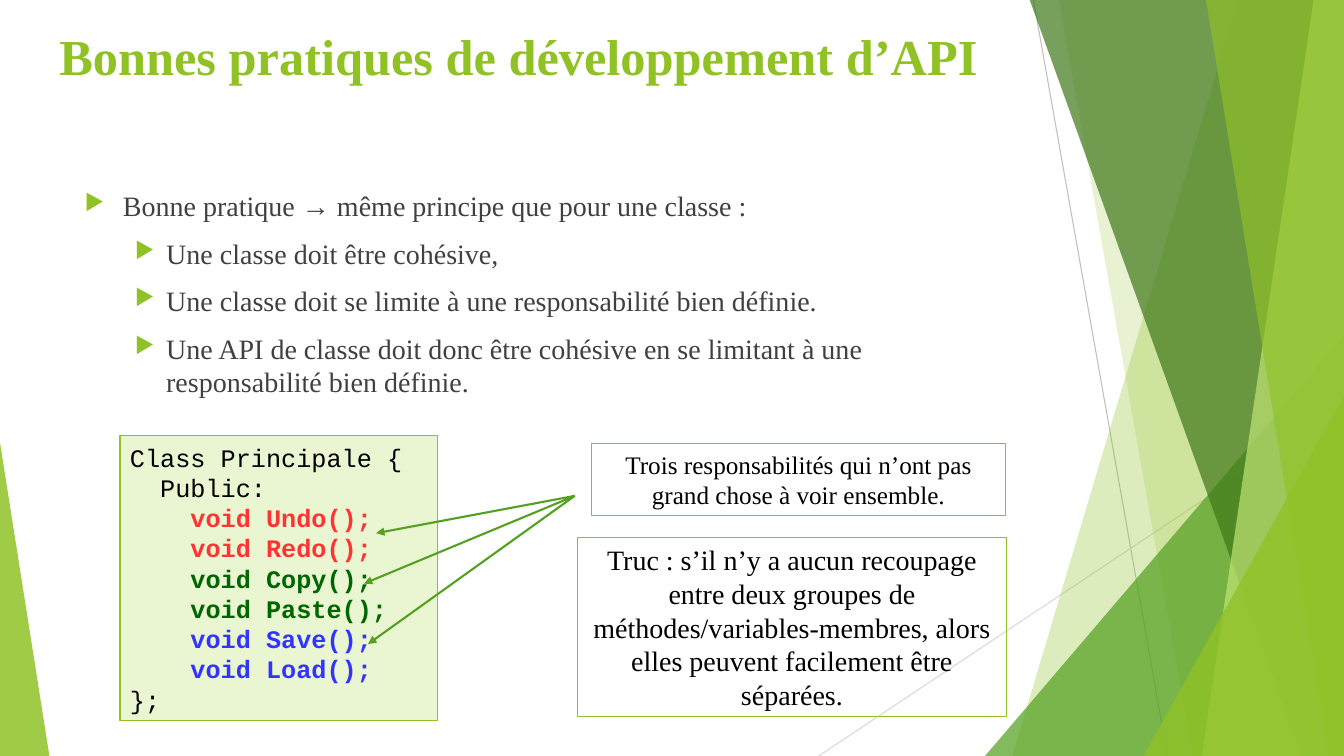
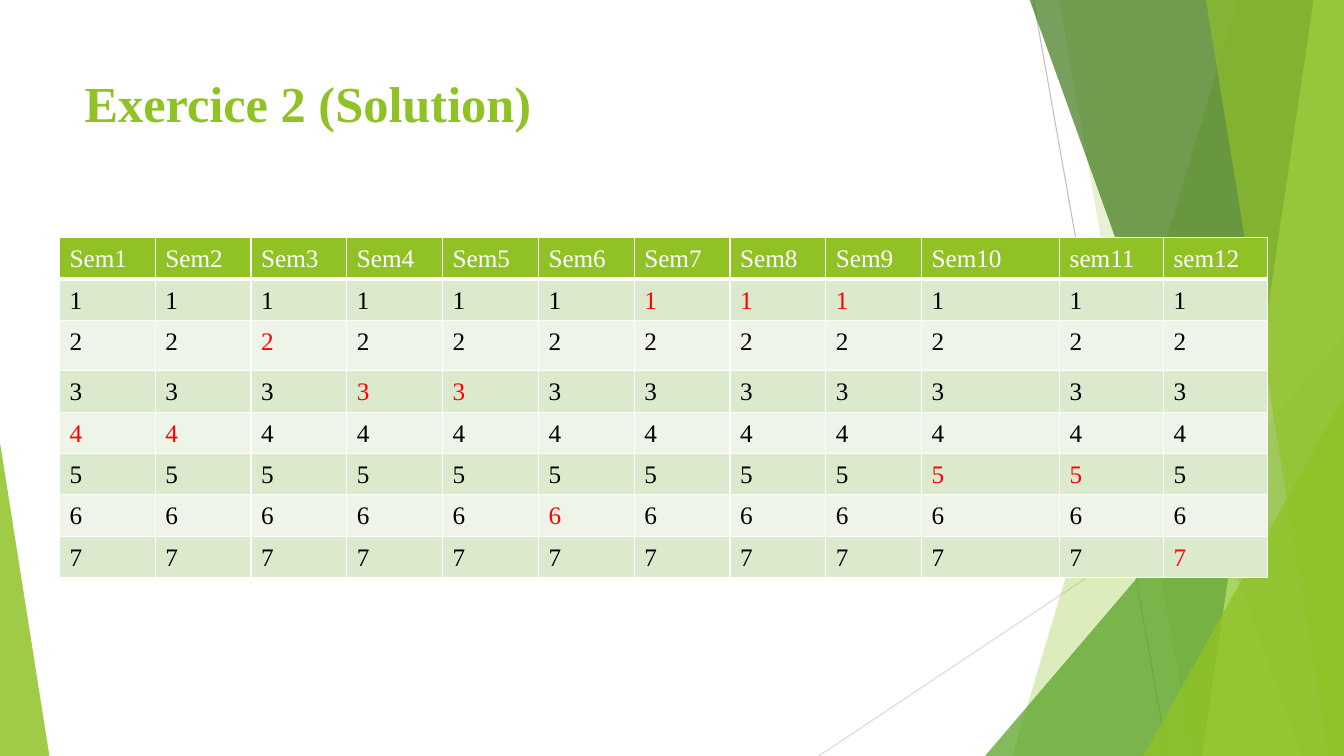
"""Build two slides on API design practices and a weekly schedule."""
from lxml.etree import SubElement
from pptx import Presentation
from pptx.dml.color import RGBColor
from pptx.enum.shapes import MSO_CONNECTOR, MSO_SHAPE
from pptx.enum.text import MSO_ANCHOR, PP_ALIGN
from pptx.oxml.ns import qn
from pptx.util import Inches, Pt

COLORS = {
    "lime": "90C226", "green": "54A021", "forest": "3F7819", "pale": "C0E474",
    "code_fill": "EAF6D1", "band_dark": "DBE9CD", "band_light": "EEF4E8",
    "line": "BFBFBF", "line_light": "D9D9D9", "text": "404040",
    "black": "000000", "white": "FFFFFF", "red": "FF0000",
    "code_red": "FF3333", "code_green": "006600", "code_blue": "3333FF",
}
SERIF, MONO = "Times New Roman", "Courier New"
TOP, RIGHT, BOTTOM = -0.01, 13.33, 7.5


def rgb(name):
    return RGBColor.from_string(COLORS[name])


class Deck:
    def __init__(self):
        self.prs = Presentation()
        self.prs.slide_width, self.prs.slide_height = Inches(RIGHT), Inches(BOTTOM)
        self.s = None

    def new_slide(self):
        self.s = self.prs.slides.add_slide(self.prs.slide_layouts[6])
        self.line((10.25, 0), (11.58, BOTTOM), "line")
        self.line((RIGHT, 4.03), (8.12, BOTTOM), "line_light")
        self.band(12.28, 10.04, "lime", 30)
        self.band(10.5, 11.83, "lime", 20)
        self.triangle(9.77, 3.33, 3.56, 1, "green", 72)
        self.band(10.21, 12.91, "forest", 70)
        self.band(13.03, 11.92, "pale", 70)
        self.band(11.96, 13.18, "lime", 65)
        self.triangle(11.34, 3.93, 1.99, 1, "lime", 80)
        self.triangle(0, 4.39, 0.49, 0, "lime", 85)

    def paint(self, sp, color, opacity):
        sp.shadow.inherit = False
        sp.line.fill.background()
        sp.fill.solid()
        sp.fill.fore_color.rgb = rgb(color)
        clr = next(sp._element.spPr.iter(qn("a:srgbClr")))
        SubElement(clr, qn("a:alpha"), val=str(opacity * 1000))

    def band(self, top_x, bottom_x, color, opacity):
        fb = self.s.shapes.build_freeform(Inches(top_x), Inches(TOP))
        corners = [(RIGHT, TOP), (RIGHT, BOTTOM), (bottom_x, BOTTOM)]
        fb.add_line_segments([(Inches(x), Inches(y)) for x, y in corners])
        self.paint(fb.convert_to_shape(), color, opacity)

    def triangle(self, x, y, w, apex, color, opacity):
        sp = self.s.shapes.add_shape(MSO_SHAPE.ISOSCELES_TRIANGLE, Inches(x),
                                     Inches(y), Inches(w), Inches(BOTTOM - y))
        sp.adjustments[0] = apex
        self.paint(sp, color, opacity)

    def line(self, start, end, color, width=0.75, arrow=False):
        c = self.s.shapes.add_connector(MSO_CONNECTOR.STRAIGHT,
                                        *[Inches(v) for v in (*start, *end)])
        c.line.color.rgb = rgb(color)
        c.line.width = Pt(width)
        if arrow:
            SubElement(c.line._get_or_add_ln(), qn("a:tailEnd"), type="triangle")
        SubElement(c._element.spPr, qn("a:effectLst"))

    def run(self, p, text, size, color, font=SERIF, bold=False):
        r = p.add_run()
        r.text = text
        r.font.name, r.font.size, r.font.bold = font, Pt(size), bold
        r.font.color.rgb = rgb(color)
        p.line_spacing = Pt(size * 1.2)

    def textbox(self, x, y, w, h):
        tf = self.s.shapes.add_textbox(Inches(x), Inches(y), Inches(w), Inches(h)).text_frame
        tf.word_wrap = True
        return tf

    def title(self, text, x, y, w):
        tf = self.textbox(x, y, w, 1.44)
        self.run(tf.paragraphs[0], text, 36, "lime", bold=True)

    def bullets(self, items, x, y, w, h):
        tf = self.textbox(x, y, w, h)
        for i, (level, text) in enumerate(items):
            p = tf.add_paragraph() if i else tf.paragraphs[0]
            p.level = level
            margin, hang = [(0.38, 0.38), (0.81, 0.31)][level]
            pPr = p._p.get_or_add_pPr()
            pPr.set("marL", str(Inches(margin)))
            pPr.set("indent", str(-Inches(hang)))
            clr = SubElement(pPr, qn("a:buClr"))
            SubElement(clr, qn("a:srgbClr"), val=COLORS["lime"])
            SubElement(pPr, qn("a:buSzPct"), val="80000")
            SubElement(pPr, qn("a:buChar"), char="▶")
            if i:
                p.space_before = Pt(10)
            self.run(p, text, 20, "text")

    def box(self, paragraphs, x, y, w, h, size, font=SERIF, fill=None, align=PP_ALIGN.CENTER):
        sp = self.s.shapes.add_shape(MSO_SHAPE.RECTANGLE, Inches(x), Inches(y),
                                     Inches(w), Inches(h))
        sp.shadow.inherit = False
        sp.line.color.rgb = rgb("lime")
        sp.line.width = Pt(0.75)
        if fill:
            sp.fill.solid()
            sp.fill.fore_color.rgb = rgb(fill)
        else:
            sp.fill.background()
        tf = sp.text_frame
        tf.word_wrap = True
        tf.vertical_anchor = MSO_ANCHOR.MIDDLE
        for i, runs in enumerate(paragraphs):
            p = tf.add_paragraph() if i else tf.paragraphs[0]
            p.alignment = align
            for text, color in runs:
                self.run(p, text, size, color, font, bold=color != "black")

    def cell(self, cell, text, color, fill, bottom=1):
        tcPr = cell._tc.get_or_add_tcPr()
        for side, width in (("L", 1), ("R", 1), ("T", 1), ("B", bottom)):
            ln = SubElement(tcPr, qn("a:ln" + side), w=str(Pt(width)))
            solid = SubElement(ln, qn("a:solidFill"))
            SubElement(solid, qn("a:srgbClr"), val=COLORS["white"])
        cell.fill.solid()
        cell.fill.fore_color.rgb = rgb(fill)
        self.run(cell.text_frame.paragraphs[0], text, 18, color)

    def schedule(self, headers, chosen, x, y, widths, heights):
        table = self.s.shapes.add_table(len(heights), len(widths), Inches(x), Inches(y),
                                        Inches(sum(widths)), Inches(sum(heights))).table
        for row, h in zip(table.rows, heights):
            row.height = Inches(h)
        for c, (header, pick, w) in enumerate(zip(headers, chosen, widths)):
            table.columns[c].width = Inches(w)
            self.cell(table.cell(0, c), header, "white", "lime", bottom=3)
            for n in range(1, len(heights)):
                self.cell(table.cell(n, c), str(n), "red" if n == pick else "black",
                          "band_dark" if n % 2 else "band_light")


def practices_slide(deck):
    deck.new_slide()
    deck.title("Bonnes pratiques de développement d’API", 0.49, 0.2, 10.96)
    deck.bullets([
        (0, "Bonne pratique → même principe que pour une classe :"),
        (1, "Une classe doit être cohésive,"),
        (1, "Une classe doit se limite à une responsabilité bien définie."),
        (1, "Une API de classe doit donc être cohésive en se limitant à une "
            "responsabilité bien définie."),
    ], 0.74, 1.82, 9.4, 4.24)
    methods = [("Undo", "code_red"), ("Redo", "code_red"), ("Copy", "code_green"),
               ("Paste", "code_green"), ("Save", "code_blue"), ("Load", "code_blue")]
    code = [[("Class Principale {", "black")], [("  Public:", "black")]]
    code += [[("    ", "black"), (f"void {name}();", color)] for name, color in methods]
    code.append([("};", "black")])
    deck.box(code, 1.19, 4.32, 3.15, 2.83, 18, MONO, "code_fill", PP_ALIGN.LEFT)
    for target in [(3.73, 5.29), (3.61, 5.79), (3.65, 6.39)]:
        deck.line((5.7, 4.92), target, "green", 1.5, arrow=True)
    deck.box([[("Trois responsabilités qui n’ont pas grand chose à voir ensemble.", "black")]],
             5.87, 4.4, 4.1, 0.71, 18)
    deck.box([[("Truc : s’il n’y a aucun recoupage entre deux groupes de "
                "méthodes/variables-membres, alors elles peuvent facilement être séparées.",
                "black")]], 5.73, 5.33, 4.25, 1.78, 20)


def solution_slide(deck):
    deck.new_slide()
    deck.title("Exercice 2 (Solution)", 0.74, 0.67, 9.4)
    headers = [f"Sem{n}" for n in range(1, 11)] + ["sem11", "sem12"]
    chosen = [4, 4, 2, 3, 3, 6, 1, 1, 1, 5, 5, 7]
    deck.schedule(headers, chosen, 0.59, 2.36, [0.95] * 9 + [1.37, 1.03, 1.03],
                  [0.41] * 2 + [0.5] + [0.41] * 5)


def main():
    deck = Deck()
    practices_slide(deck)
    solution_slide(deck)
    deck.prs.save("out.pptx")


if __name__ == "__main__":
    main()
